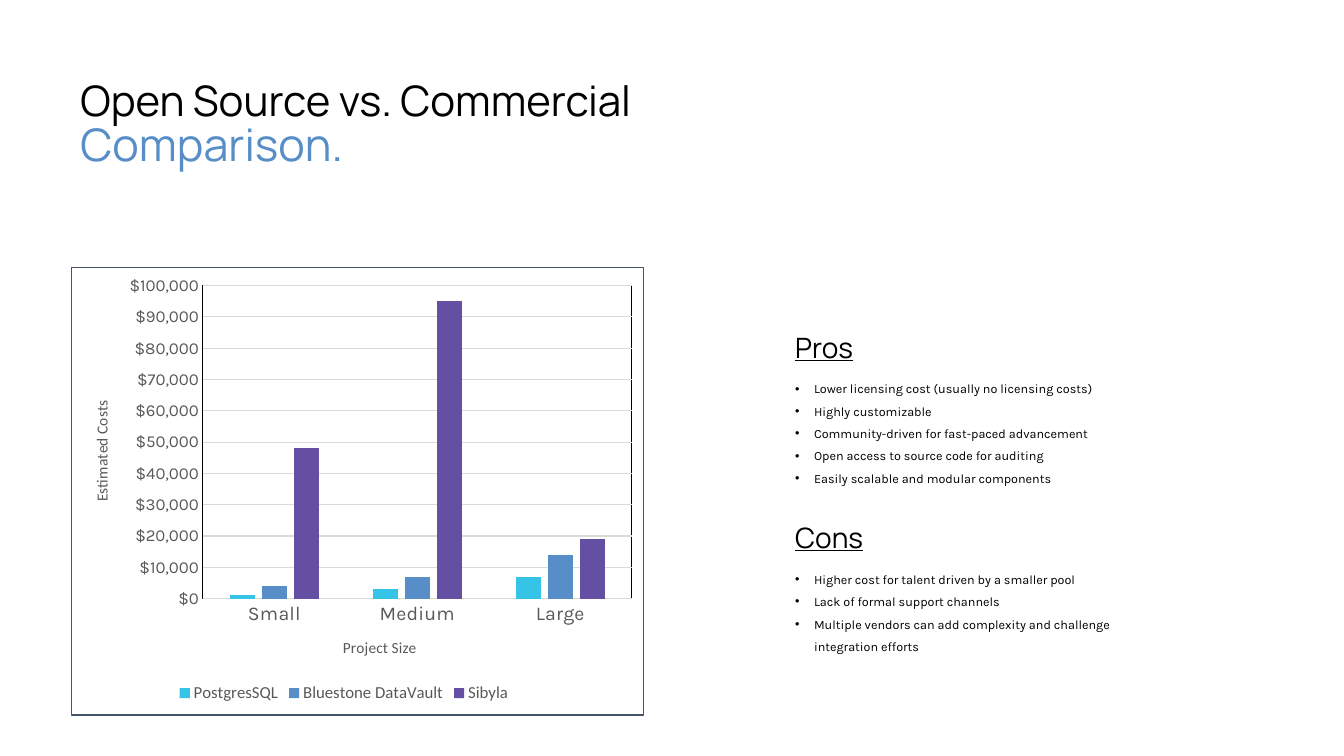
from dataclasses import dataclass

from lxml import etree
from pptx import Presentation
from pptx.chart import data as chart_data
from pptx.dml.color import RGBColor
from pptx.enum import chart as chart_enum
from pptx.enum import text
from pptx.oxml import parse_xml
from pptx.oxml.ns import nsdecls, qn
from pptx.util import Pt

BLACK, GRAY, LIGHT_GRAY, SLATE, BLUE = "000000", "595959", "D9D9D9", "44546A", "578EC7"
BODY, HEADING, PLAIN = "Karla", "Manrope", "Calibri"
LIST_LEFT, HEADING_HEIGHT, LIST_INDENT = 560.9, 31, 13.5


@dataclass
class Series:
    name: str
    values: tuple[int, ...]
    color: str


@dataclass
class Section:
    heading: str
    top: float
    height: float
    points: tuple[str, ...]


CATEGORIES = ("Small", "Medium", "Large")
SERIES = (
    Series("PostgresSQL", (1000, 3000, 7000), "35C4E7"),
    Series("Bluestone DataVault", (4000, 7000, 14000), BLUE),
    Series("Sibyla", (48000, 95000, 19000), "654FA2"),
)
SECTIONS = (
    Section("Pros", 232.6, 86.4, (
        "Lower licensing cost (usually no licensing costs)",
        "Highly customizable",
        "Community-driven for fast-paced advancement",
        "Open access to source code for auditing",
        "Easily scalable and modular components",
    )),
    Section("Cons", 368.6, 70.6, (
        "Higher cost for talent driven by a smaller pool",
        "Lack of formal support channels",
        "Multiple vendors can add complexity and challenge integration efforts",
    )),
)


def rgb(color: str) -> RGBColor:
    return RGBColor.from_string(color)


def style(font, name: str, size: float, color: str) -> None:
    font.name, font.size, font.bold = name, Pt(size), False
    font.color.rgb = rgb(color)


def add_text(slide, left, top, width, height, lines, spacing, wrap=True):
    """Add a text box with one paragraph per line and return its paragraphs."""
    frame = slide.shapes.add_textbox(Pt(left), Pt(top), Pt(width), Pt(height)).text_frame
    frame.word_wrap = wrap
    frame.auto_size = text.MSO_AUTO_SIZE.SHAPE_TO_FIT_TEXT
    frame.text = "\n".join(lines)
    for paragraph in frame.paragraphs:
        paragraph.line_spacing = Pt(spacing)
    return frame.paragraphs


def add_bullet(paragraph) -> None:
    properties = paragraph._p.get_or_add_pPr()
    properties.set("marL", str(Pt(LIST_INDENT)))
    properties.set("indent", str(-Pt(LIST_INDENT)))
    etree.SubElement(properties, qn("a:buFont"), typeface="Arial")
    etree.SubElement(properties, qn("a:buChar"), char="•")


def add_section(slide, section: Section) -> None:
    heading, = add_text(slide, LIST_LEFT, section.top, 247.7, HEADING_HEIGHT,
                        [section.heading], 24)
    style(heading.font, HEADING, 20, BLACK)
    heading.font.underline = True
    for paragraph in add_text(slide, LIST_LEFT, section.top + HEADING_HEIGHT, 260.6,
                              section.height, section.points, 16):
        add_bullet(paragraph)
        style(paragraph.font, BODY, 9, BLACK)


def outline(color: str, width: float):
    return parse_xml(
        f'<c:spPr {nsdecls("c", "a")}><a:noFill/><a:ln w="{Pt(width)}">'
        f'<a:solidFill><a:srgbClr val="{color}"/></a:solidFill></a:ln></c:spPr>')


def place(element, position: int, **fractions: float) -> None:
    """Set a chart part's manual layout in fractions of the chart size."""
    for old in element.findall(qn("c:layout")):
        element.remove(old)
    layout = etree.Element(qn("c:layout"))
    manual = etree.SubElement(layout, qn("c:manualLayout"))
    if "w" in fractions:
        etree.SubElement(manual, qn("c:layoutTarget"), val="inner")
    for mode in ("xMode", "yMode"):
        etree.SubElement(manual, qn(f"c:{mode}"), val="edge")
    for name, fraction in fractions.items():
        etree.SubElement(manual, qn(f"c:{name}"), val=str(fraction))
    element.insert(position, layout)


def style_axis(axis, title: str, size: float, x: float, y: float) -> None:
    paragraph = axis.axis_title.text_frame.paragraphs[0]
    paragraph.text = title
    style(paragraph.font, PLAIN, 11, GRAY)
    place(axis.axis_title._element, 1, x=x, y=y)
    axis.major_tick_mark = axis.minor_tick_mark = chart_enum.XL_TICK_MARK.NONE
    style(axis.tick_labels.font, BODY, size, GRAY)


def add_cost_chart(slide) -> None:
    costs = chart_data.CategoryChartData()
    costs.categories = CATEGORIES
    for series in SERIES:
        costs.add_series(series.name, series.values)
    chart = slide.shapes.add_chart(
        chart_enum.XL_CHART_TYPE.COLUMN_CLUSTERED,
        Pt(50.4), Pt(190.8), Pt(409.7), Pt(320.4), costs).chart
    style(chart.font, PLAIN, 10, BLACK)
    chart.has_title = False
    chart.has_legend = True
    chart.legend.position = chart_enum.XL_LEGEND_POSITION.BOTTOM
    chart.legend.include_in_layout = False
    style(chart.legend.font, PLAIN, 12, GRAY)
    place(chart.legend._element, 1, x=0.18, y=0.92)

    plot = chart.plots[0]
    plot.gap_width, plot.overlap, plot.vary_by_categories = 219, -27, False
    for bars, series in zip(plot.series, SERIES):
        bars.format.fill.solid()
        bars.format.fill.fore_color.rgb = rgb(series.color)

    sizes, values = chart.category_axis, chart.value_axis
    style_axis(sizes, "Project Size", 14, 0.47, 0.82)
    style_axis(values, "Estimated Costs", 12, 0.03, 0.29)
    values.minimum_scale, values.maximum_scale, values.major_unit = 0, 100000, 10000
    values.tick_labels.number_format = '"$"#,##0'
    values.tick_labels.number_format_is_linked = False
    values.format.line.fill.background()
    for line in (sizes.format.line, values.major_gridlines.format.line):
        line.color.rgb = rgb(LIGHT_GRAY)
        line.width = Pt(0.75)

    chart_root = chart.element.find(qn("c:chart"))
    plot_area = chart_root.find(qn("c:plotArea"))
    place(plot_area, 0, x=0.23, y=0.04, w=0.75, h=0.7)
    plot_area.append(outline(BLACK, 0.75))
    chart_root.addnext(outline(SLATE, 1))


def main() -> None:
    presentation = Presentation()
    presentation.slide_width, presentation.slide_height = Pt(960), Pt(540)
    slide = presentation.slides.add_slide(presentation.slide_layouts[6])
    topic, emphasis = add_text(slide, 50.4, 52.6, 450.7, 74.9,
                               ("Open Source vs. Commercial", "Comparison."), 33, wrap=False)
    style(topic.font, HEADING, 30, BLACK)
    style(emphasis.font, HEADING, 32, BLUE)
    add_cost_chart(slide)
    for section in SECTIONS:
        add_section(slide, section)
    presentation.save("out.pptx")


if __name__ == "__main__":
    main()
